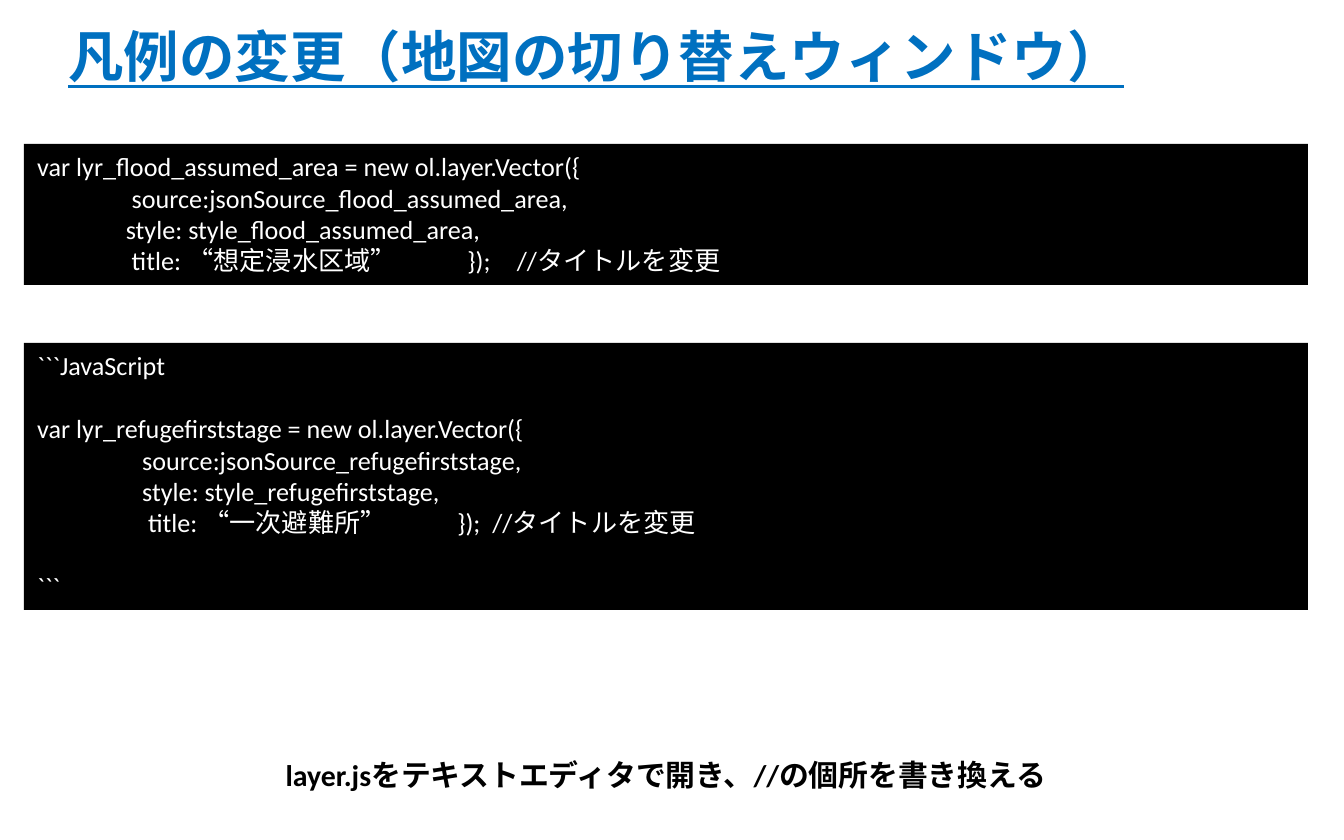
import dataclasses

import pptx
import pptx.dml.color
import pptx.enum.shapes
import pptx.enum.text
import pptx.oxml.ns
import pptx.util
from lxml import etree

SCALE = 914400 / 134.4  # EMU in one px
TAB = 105


@dataclasses.dataclass(frozen=True)
class Theme:
    blue: str = "0070C0"
    black: str = "000000"
    white: str = "FFFFFF"
    face: str = "Calibri"
    title: float = 29.7
    code: float = 14
    note: float = 16
    line: float = 17  # height of one code line in points


@dataclasses.dataclass(frozen=True)
class Panel:
    top: int
    high: int
    code: str


THEME = Theme()

PANELS = [
    Panel(144, 141, """var lyr_flood_assumed_area = new ol.layer.Vector({
                source:jsonSource_flood_assumed_area,
               style: style_flood_assumed_area,
                title: “想定浸水区域”            });　//タイトルを変更"""),
    Panel(343, 267, """```JavaScript

var lyr_refugefirststage = new ol.layer.Vector({
\tsource:jsonSource_refugefirststage,
\tstyle: style_refugefirststage,
\t title: “一次避難所”            });  //タイトルを変更

```"""),
]


def px(size: int) -> int:
    return round(size * SCALE)


def paint(para, size: float, color: str, bold: bool = False) -> None:
    for run in para.runs:
        font = run.font
        font.name = THEME.face
        font.size = pptx.util.Pt(size)
        font.bold = bold
        font.color.rgb = pptx.dml.color.RGBColor.from_string(color)


def set_tab(para) -> None:
    props = para._p.get_or_add_pPr()
    stops = etree.SubElement(props, pptx.oxml.ns.qn("a:tabLst"))
    etree.SubElement(stops, pptx.oxml.ns.qn("a:tab"), pos=str(px(TAB)), algn="l")


def draw_title(slide, text: str) -> None:
    title = slide.shapes.title
    title.left, title.top, title.width, title.height = map(px, (55, 23, 1158, 74))
    frame = title.text_frame
    frame.text = text
    frame.auto_size = pptx.enum.text.MSO_AUTO_SIZE.NONE
    frame.vertical_anchor = pptx.enum.text.MSO_ANCHOR.MIDDLE
    para = frame.paragraphs[0]
    para.alignment = pptx.enum.text.PP_ALIGN.LEFT
    para.line_spacing = 0.9
    paint(para, THEME.title, THEME.blue, True)
    para.runs[0].font.underline = True


def draw_panel(slide, panel: Panel) -> None:
    box = slide.shapes.add_shape(
        pptx.enum.shapes.MSO_SHAPE.RECTANGLE,
        px(24), px(panel.top), px(1284), px(panel.high))
    box.shadow.inherit = False
    box.fill.solid()
    box.fill.fore_color.rgb = pptx.dml.color.RGBColor.from_string(THEME.black)
    box.line.fill.background()
    frame = box.text_frame
    frame.word_wrap = True
    frame.vertical_anchor = pptx.enum.text.MSO_ANCHOR.TOP

    # An empty code line becomes space before the next one
    lines = panel.code.split("\n")
    frame.text = "\n".join(line for line in lines if line)
    gaps = [not prev for prev, line in zip(["-"] + lines, lines) if line]
    for para, gap in zip(frame.paragraphs, gaps):
        para.alignment = pptx.enum.text.PP_ALIGN.LEFT
        if gap:
            para.space_before = pptx.util.Pt(THEME.line)
        if para.text.startswith("\t"):
            set_tab(para)
        paint(para, THEME.code, THEME.white)


def draw_note(slide, text: str) -> None:
    box = slide.shapes.add_textbox(px(0), px(750), px(1332), px(50))
    frame = box.text_frame
    frame.word_wrap = True
    frame.text = text
    para = frame.paragraphs[0]
    para.alignment = pptx.enum.text.PP_ALIGN.CENTER
    paint(para, THEME.note, THEME.black, True)


def main() -> None:
    deck = pptx.Presentation()
    deck.slide_width, deck.slide_height = px(1344), px(840)
    slide = deck.slides.add_slide(deck.slide_layouts[5])

    # Heading
    draw_title(slide, "凡例の変更（地図の切り替えウィンドウ）")

    # Code panels
    for panel in PANELS:
        draw_panel(slide, panel)

    # Closing note
    draw_note(slide, "layer.jsをテキストエディタで開き、//の個所を書き換える")

    deck.save("out.pptx")


if __name__ == "__main__":
    main()
